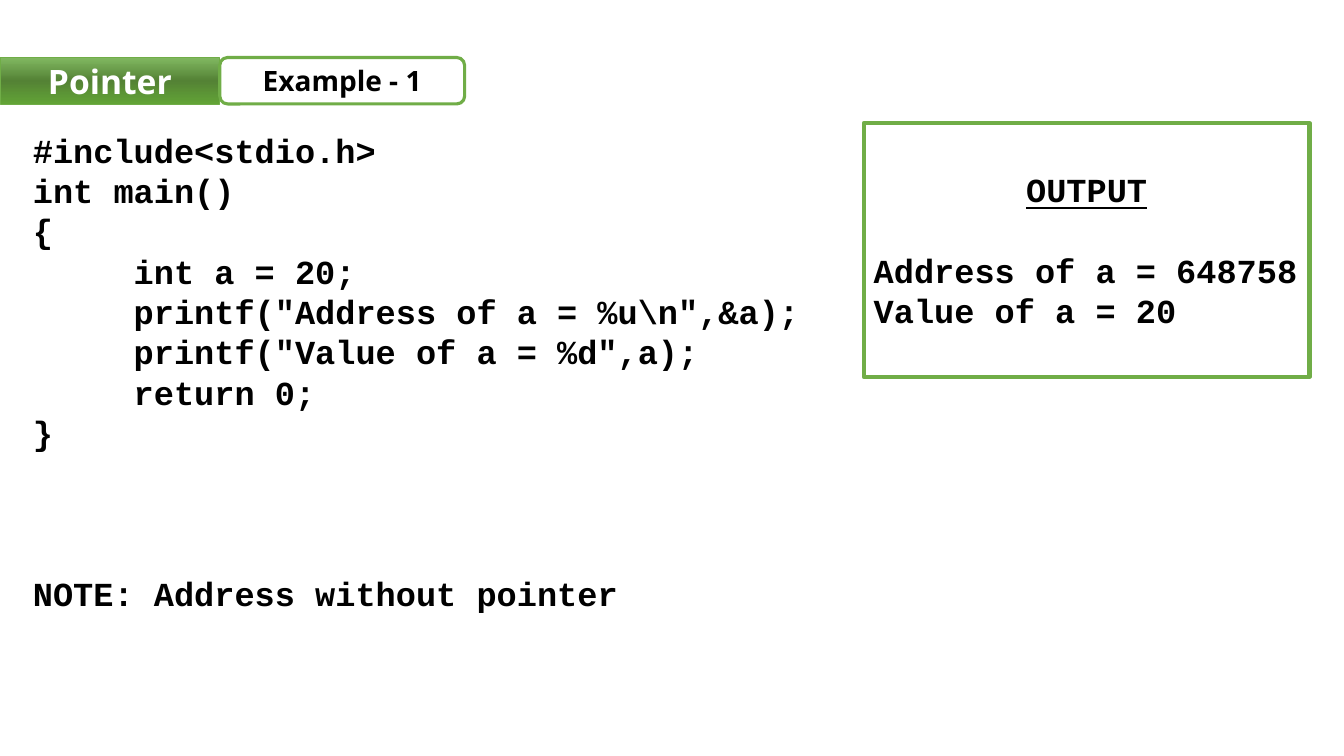
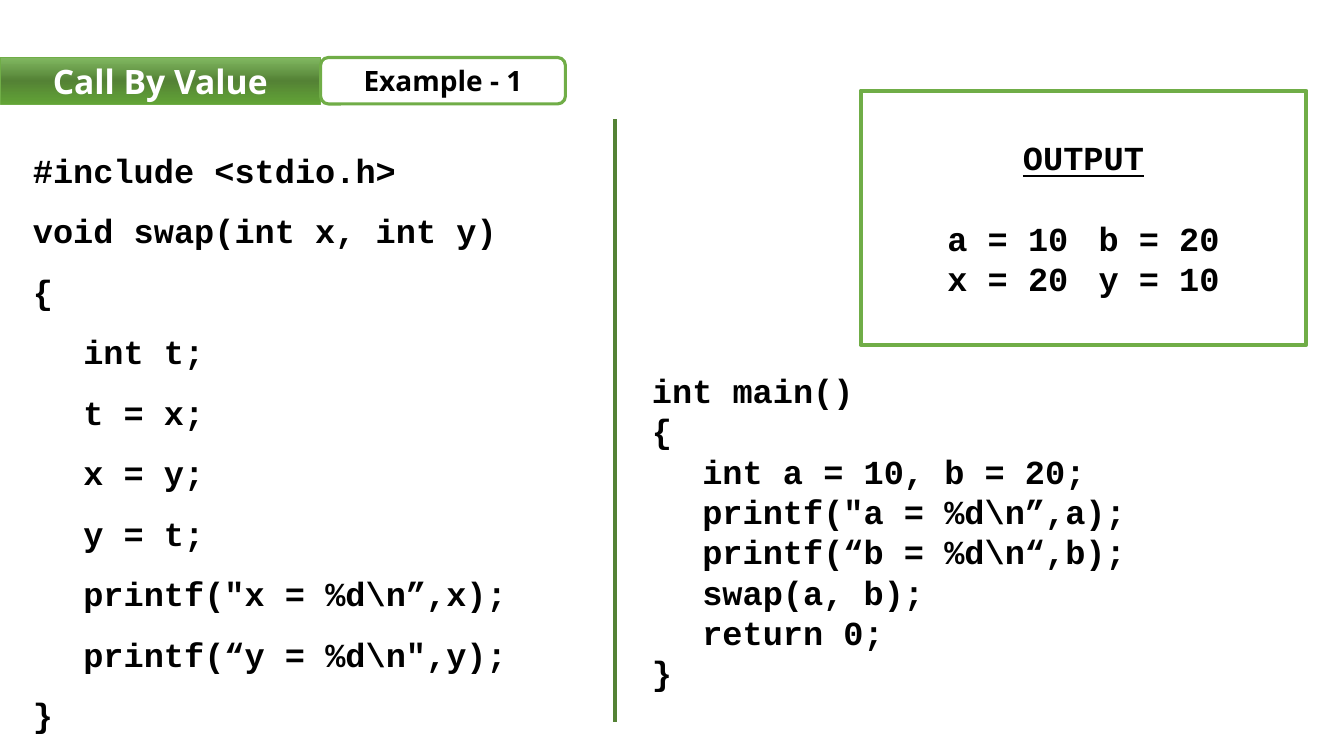
"""Build two slides on C pointers and call by value, with code and its output."""
from lxml import etree
from pptx import Presentation
from pptx.dml.color import RGBColor
from pptx.enum.shapes import MSO_CONNECTOR, MSO_SHAPE
from pptx.enum.text import MSO_ANCHOR, PP_ALIGN
from pptx.oxml.ns import qn
from pptx.util import Cm, Pt


def color(hex_string):
    return RGBColor.from_string(hex_string)


class Deck:
    GREEN, DARK_GREEN = "70AD47", "548235"
    BAND_STOPS = [(0, "81B861"), (50, DARK_GREEN), (100, "62A336")]
    BLACK, WHITE = "000000", "FFFFFF"
    CODE_FONT, TITLE_FONT = "Courier New", "Open Sans"
    CODE_SIZE, CODE_PITCH = 24, 28.8
    CODE_LEFT, CODE_TOP = 0.58, 3.14
    BAND_TOP, BAND_HEIGHT, TAG_WIDTH = 1.45, 1.17, 6.17

    def __init__(self):
        self.prs = Presentation()
        self.prs.slide_width, self.prs.slide_height = Cm(33.87), Cm(19.05)
        self.slide = None

    def new_slide(self, title, title_width, tag):
        self.slide = self.prs.slides.add_slide(self.prs.slide_layouts[6])
        band = self.shape(MSO_SHAPE.RECTANGLE, 0, self.BAND_TOP, title_width, self.BAND_HEIGHT, 0.5)
        self.shade(band)
        self.label(band, title, 24, self.WHITE)
        box = self.shape(MSO_SHAPE.ROUNDED_RECTANGLE, title_width, self.BAND_TOP,
                         self.TAG_WIDTH, self.BAND_HEIGHT, 2.25)
        self.label(box, tag, 20, self.BLACK)

    def shape(self, kind, left, top, width, height, line_width):
        shape = self.slide.shapes.add_shape(kind, Cm(left), Cm(top), Cm(width), Cm(height))
        shape.shadow.inherit = False
        shape.fill.solid()
        shape.fill.fore_color.rgb = color(self.WHITE)
        shape.line.color.rgb = color(self.GREEN)
        shape.line.width = Pt(line_width)
        shape.text_frame.word_wrap = True
        shape.text_frame.vertical_anchor = MSO_ANCHOR.MIDDLE
        return shape

    def shade(self, shape):
        shape.fill.gradient()
        shape.fill.gradient_angle = 270
        stops = shape.element.spPr.find(qn("a:gradFill")).find(qn("a:gsLst"))
        for stop in list(stops):
            stops.remove(stop)
        for percent, shade in self.BAND_STOPS:
            stop = etree.SubElement(stops, qn("a:gs"), pos=str(percent * 1000))
            etree.SubElement(stop, qn("a:srgbClr"), val=shade)

    def styled_run(self, paragraph, text, font, size, text_color, align):
        paragraph.alignment = align
        run = paragraph.add_run()
        run.text = text
        run.font.name, run.font.size, run.font.bold = font, Pt(size), True
        run.font.color.rgb = color(text_color)
        return run

    def label(self, shape, text, size, text_color):
        frame = shape.text_frame
        frame.margin_top = frame.margin_bottom = 0
        self.styled_run(frame.paragraphs[0], text, self.TITLE_FONT, size, text_color, PP_ALIGN.CENTER)

    def code_line(self, paragraph, text, align=PP_ALIGN.LEFT):
        paragraph.line_spacing = Pt(self.CODE_PITCH)
        return self.styled_run(paragraph, text, self.CODE_FONT, self.CODE_SIZE, self.BLACK, align)

    def code(self, lines, left, top, width, indent=1.27, spacing=1):
        pitch = self.CODE_PITCH * spacing
        height = Pt(pitch * len(lines)) + Cm(0.25)
        box = self.slide.shapes.add_textbox(Cm(left), Cm(top), Cm(width), height)
        frame = box.text_frame
        frame.word_wrap = True
        for number, line in enumerate(lines):
            paragraph = frame.add_paragraph() if number else frame.paragraphs[0]
            self.code_line(paragraph, line.lstrip("\t"))
            paragraph.line_spacing = Pt(pitch)
            if line.startswith("\t"):
                paragraph._p.get_or_add_pPr().set("marL", str(Cm(indent)))

    def output(self, lines, left, top, align):
        frame = self.shape(MSO_SHAPE.RECTANGLE, left, top, 11.23, 6.4, 3).text_frame
        heading = frame.paragraphs[0]
        self.code_line(heading, "OUTPUT", PP_ALIGN.CENTER).font.underline = True
        heading.space_after = Pt(self.CODE_PITCH)
        for line in lines:
            self.code_line(frame.add_paragraph(), line, align)

    def divider(self, x, top, bottom):
        line = self.slide.shapes.add_connector(MSO_CONNECTOR.STRAIGHT, Cm(x), Cm(top), Cm(x), Cm(bottom))
        line.line.color.rgb = color(self.DARK_GREEN)
        line.line.width = Pt(2.25)
        etree.SubElement(line._element.spPr, qn("a:effectLst"))


deck = Deck()

deck.new_slide("Pointer", 5.54, "Example - 1")
deck.code(["#include<stdio.h>", "int main()", "{",
           "\tint a = 20;",
           '\tprintf("Address of a = %u\\n",&a);',
           '\tprintf("Value of a = %d",a);',
           "\treturn 0;", "}"],
          deck.CODE_LEFT, deck.CODE_TOP, 20.9, indent=2.54)
deck.code(["NOTE: Address without pointer"], deck.CODE_LEFT, 14.31, 20.9)
deck.output(["Address of a = 648758", "Value of a = 20"], 21.77, 3.1, PP_ALIGN.LEFT)

deck.new_slide("Call By Value", 8.08, "Example - 1")
deck.code(["#include <stdio.h>", "void swap(int x, int y)", "{",
           "\tint t;", "\tt = x;", "\tx = y;", "\ty = t;",
           '\tprintf("x = %d\\n”,x);',
           '\tprintf(“y = %d\\n",y);', "}"],
          deck.CODE_LEFT, deck.CODE_TOP, 14.9, spacing=1.5)
deck.divider(15.5, 3, 18.2)
deck.code(["int main()", "{",
           "\tint a = 10, b = 20;",
           '\tprintf("a = %d\\n”,a);',
           "\tprintf(“b = %d\\n“,b);",
           "\tswap(a, b);", "\treturn 0;", "}"],
          16.18, 9.2, 15.6)
deck.output(["a = 10\tb = 20", "x = 20\ty = 10"], 21.69, 2.29, PP_ALIGN.CENTER)

deck.prs.save("out.pptx")
